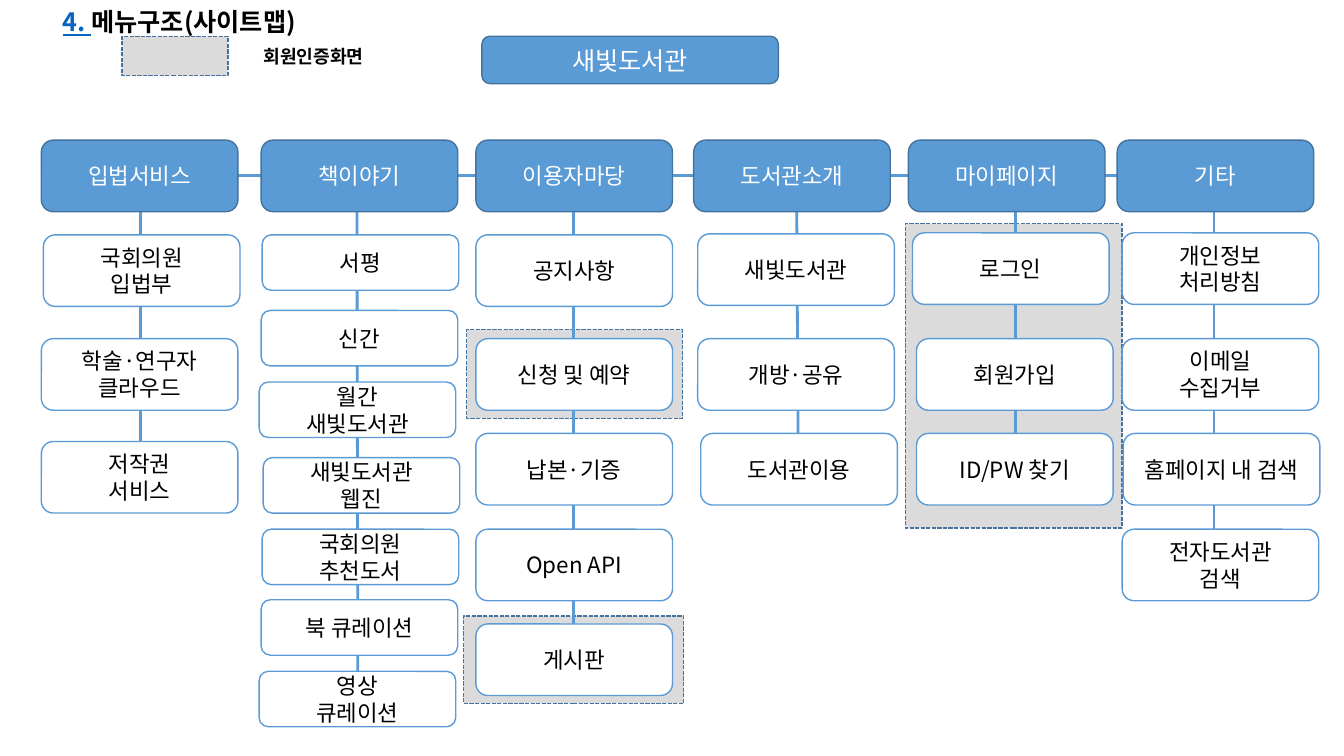
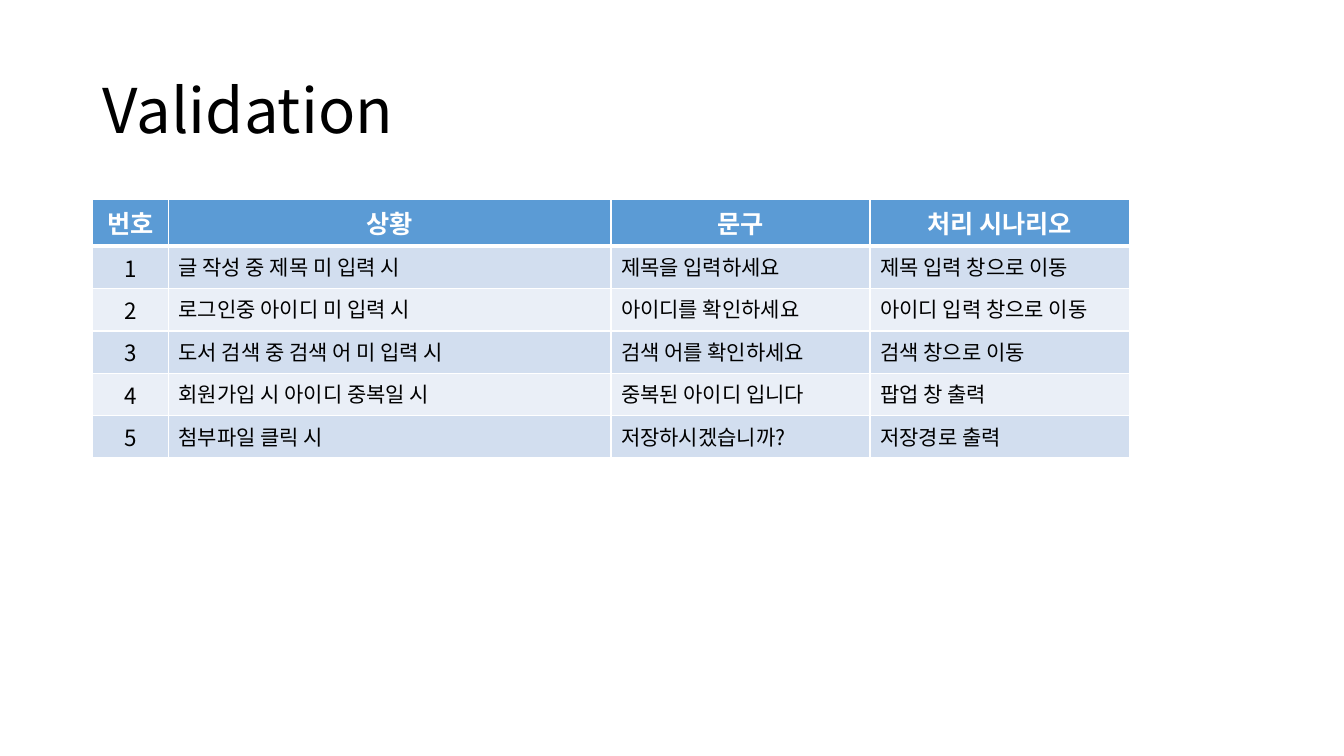
import pptx
import pptx.util
import pptx.dml.color
import pptx.enum.dml
import pptx.enum.shapes
import pptx.enum.text
import pptx.oxml
import pptx.oxml.ns

Inches = pptx.util.Inches
Pt = pptx.util.Pt
SHAPE = pptx.enum.shapes.MSO_SHAPE
ALIGN = pptx.enum.text.PP_ALIGN
ANCHOR = pptx.enum.text.MSO_ANCHOR

FONT = "Noto Sans CJK KR"
BLUE, EDGE, GREY = "5B9BD5", "43739E", "DBDBDB"
WHITE, BLACK, LINK = "FFFFFF", "000000", "0563C1"
BANDS = ("D2DEEF", "EAEFF7")

HEAD = ("4. ", "메뉴구조(사이트맵)")
ROOT = "새빛도서관"
KEY = "회원인증화면"
# Menu: name, left, spine x at top and foot, box height, items (left, top, text)
MENUS = [
    ("입법서비스", 0.41, (1.39, 1.39), 0.71, [
        (0.43, 2.33, "국회의원\n입법부"),
        (0.41, 3.36, "학술·연구자 클라우드"),
        (0.41, 4.38, "저작권\n서비스")]),
    ("책이야기", 2.59, (3.54, 3.55), 0.55, [
        (2.60, 2.33, "서평"),
        (2.59, 3.08, "신간"),
        (2.57, 3.79, "월간\n" + ROOT),
        (2.61, 4.54, ROOT + "\n웹진"),
        (2.60, 5.25, "국회의원\n추천도서"),
        (2.59, 5.95, "북 큐레이션"),
        (2.57, 6.66, "영상\n큐레이션")]),
    ("이용자마당", 4.72, (5.69, 5.69), 0.71, [
        (4.72, 2.33, "공지사항"),
        (4.72, 3.36, "신청 및 예약"),
        (4.72, 4.30, "납본·기증"),
        (4.72, 5.25, "Open API"),
        (4.72, 6.19, "게시판")]),
    ("도서관소개", 6.88, (7.90, 7.92), 0.71, [
        (6.92, 2.32, ROOT),
        (6.92, 3.36, "개방·공유"),
        (6.95, 4.30, "도서관이용")]),
    ("마이페이지", 9.01, (10.07, 10.07), 0.71, [
        (9.05, 2.31, "로그인"),
        (9.09, 3.36, "회원가입"),
        (9.09, 4.30, "ID/PW 찾기")]),
    ("기타", 11.08, (12.04, 12.04), 0.71, [
        (11.13, 2.31, "개인정보\n처리방침"),
        (11.13, 3.36, "이메일\n수집거부"),
        (11.14, 4.30, "홈페이지 내 검색"),
        (11.13, 5.25, "전자도서관\n검색")]),
]
ZONES = [(8.98, 2.22, 2.15, 3.02), (4.6, 6.11, 2.18, 0.87),
         (4.63, 3.27, 2.14, 0.88), (1.21, 0.36, 1.05, 0.39)]
WIDE, TOP, TALL, BAR = 1.95, 1.39, 0.71, 1.74

TITLE = "Validation"
COLS = (0.75, 4.39, 2.57, 2.57)
ROW = 0.41
ROWS = [
    ("번호", "상황", "문구", "처리 시나리오"),
    ("1", "글 작성 중 제목 미 입력 시", "제목을 입력하세요", "제목 입력 창으로 이동"),
    ("2", "로그인중 아이디 미 입력 시", "아이디를 확인하세요", "아이디 입력 창으로 이동"),
    ("3", "도서 검색 중 검색 어 미 입력 시", "검색 어를 확인하세요", "검색 창으로 이동"),
    ("4", "회원가입 시 아이디 중복일 시", "중복된 아이디 입니다", "팝업 창 출력"),
    ("5", "첨부파일 클릭 시", "저장하시겠습니까?", "저장경로 출력"),
]


def rgb(code):
    """Turn a hex string into a colour."""
    return pptx.dml.color.RGBColor.from_string(code)


def place(box):
    """Turn numbers into lengths in inches."""
    return [Inches(n) for n in box]


def style(frame, size, color, bold=False, align=ALIGN.CENTER):
    """Format every paragraph of a text frame."""
    for para in frame.paragraphs:
        para.alignment = align
        font = para.font
        font.name, font.size, font.bold = FONT, Pt(size), bold
        font.color.rgb = rgb(color)
        props = para._p.get_or_add_pPr().find(pptx.oxml.ns.qn("a:defRPr"))
        east = pptx.oxml.parse_xml(
            '<a:ea %s typeface="%s"/>' % (pptx.oxml.ns.nsdecls("a"), FONT))
        props.find(pptx.oxml.ns.qn("a:latin")).addnext(east)


def label(frame, text, size, color, bold=False):
    """Write centred text with the insets of the site map."""
    frame.text = text
    frame.word_wrap = True
    frame.vertical_anchor = ANCHOR.MIDDLE
    frame.margin_left = frame.margin_right = Inches(0.12)
    frame.margin_top = frame.margin_bottom = Inches(0.06)
    style(frame, size, color, bold)


def block(slide, kind, box, fill, edge):
    """Draw a filled shape with a thin edge."""
    shape = slide.shapes.add_shape(kind, *place(box))
    shape.shadow.inherit = False
    shape.fill.solid()
    shape.fill.fore_color.rgb = rgb(fill)
    shape.line.color.rgb = rgb(edge)
    shape.line.width = Pt(1)
    return shape


def node(slide, box, text, size=16, dark=True):
    """Draw one menu box, blue or white."""
    fill, edge, ink = (BLUE, EDGE, WHITE) if dark else (WHITE, BLUE, BLACK)
    shape = block(slide, SHAPE.ROUNDED_RECTANGLE, box, fill, edge)
    label(shape.text_frame, text, size, ink)


def link(slide, *ends):
    """Draw a straight blue line."""
    line = slide.shapes.add_connector(
        pptx.enum.shapes.MSO_CONNECTOR.STRAIGHT, *place(ends))
    line.line.color.rgb = rgb(BLUE)
    line.line.width = Pt(2)
    line._element.spPr.append(pptx.oxml.parse_xml(
        "<a:effectLst %s/>" % pptx.oxml.ns.nsdecls("a")))


def rule(cell):
    """Give a heading cell a thick white lower border."""
    cell._tc.get_or_add_tcPr().insert(0, pptx.oxml.parse_xml(
        '<a:lnB %s w="%d"><a:solidFill><a:srgbClr val="%s"/></a:solidFill>'
        '</a:lnB>' % (pptx.oxml.ns.nsdecls("a"), Pt(3), WHITE)))


def start(deck, box, parts, size, bold, anchor):
    """Add a slide and fill its title; return slide and title paragraph."""
    slide = deck.slides.add_slide(deck.slide_layouts[5])
    title = slide.shapes.title
    title.left, title.top, title.width, title.height = place(box)
    frame = title.text_frame
    frame.word_wrap = True
    frame.auto_size = pptx.enum.text.MSO_AUTO_SIZE.NONE
    frame.vertical_anchor = anchor
    para = frame.paragraphs[0]
    for part in parts:
        para.add_run().text = part
    style(frame, size, BLACK, bold, ALIGN.LEFT)
    return slide, para


def sitemap(deck):
    """Build the menu tree."""
    slide, para = start(deck, (0.52, 0.01, 12.08, 0.4), HEAD, 18, True,
                        ANCHOR.TOP)
    mark = para.runs[0].font
    mark.underline = True
    mark.color.rgb = rgb(LINK)
    for zone in ZONES:
        shape = block(slide, SHAPE.RECTANGLE, zone, GREY, EDGE)
        shape.line.dash_style = pptx.enum.dml.MSO_LINE.SQUARE_DOT
    note = slide.shapes.add_textbox(*place((2.26, 0.36, 1.7, 0.39)))
    label(note.text_frame, KEY, 13, BLACK, True)
    node(slide, (4.78, 0.36, 2.94, 0.47), ROOT, 18)
    link(slide, MENUS[0][1] + WIDE, BAR, MENUS[-1][2][0], BAR)
    for name, left, (head, foot), high, items in MENUS:
        link(slide, head, BAR, foot, items[-1][1] + high)
        node(slide, (left, TOP, WIDE, TALL), name)
        for x, y, text in items:
            node(slide, (x, y, WIDE, high), text, dark=False)


def checks(deck):
    """Build the table of messages."""
    slide, para = start(deck, (0.92, 0.4, 11.5, 1.45), [TITLE], 44, False,
                        ANCHOR.MIDDLE)
    para.line_spacing = 0.9
    box = (0.92, 1.98, sum(COLS), ROW * len(ROWS))
    table = slide.shapes.add_table(len(ROWS), len(COLS), *place(box)).table
    for col, wide in zip(table.columns, COLS):
        col.width = Inches(wide)
    for r, row in enumerate(ROWS):
        table.rows[r].height = Inches(ROW)
        for c, text in enumerate(row):
            cell = table.cell(r, c)
            cell.text = text
            cell.fill.solid()
            cell.fill.fore_color.rgb = rgb(BANDS[(r - 1) % 2] if r else BLUE)
            if r == 0:
                rule(cell)
                style(cell.text_frame, 18, WHITE, True)
            elif c == 0:
                style(cell.text_frame, 16, BLACK)
            else:
                style(cell.text_frame, 15, BLACK, align=ALIGN.LEFT)


deck = pptx.Presentation()
deck.slide_width, deck.slide_height = place((13.33, 7.5))
sitemap(deck)
checks(deck)
deck.save("out.pptx")
